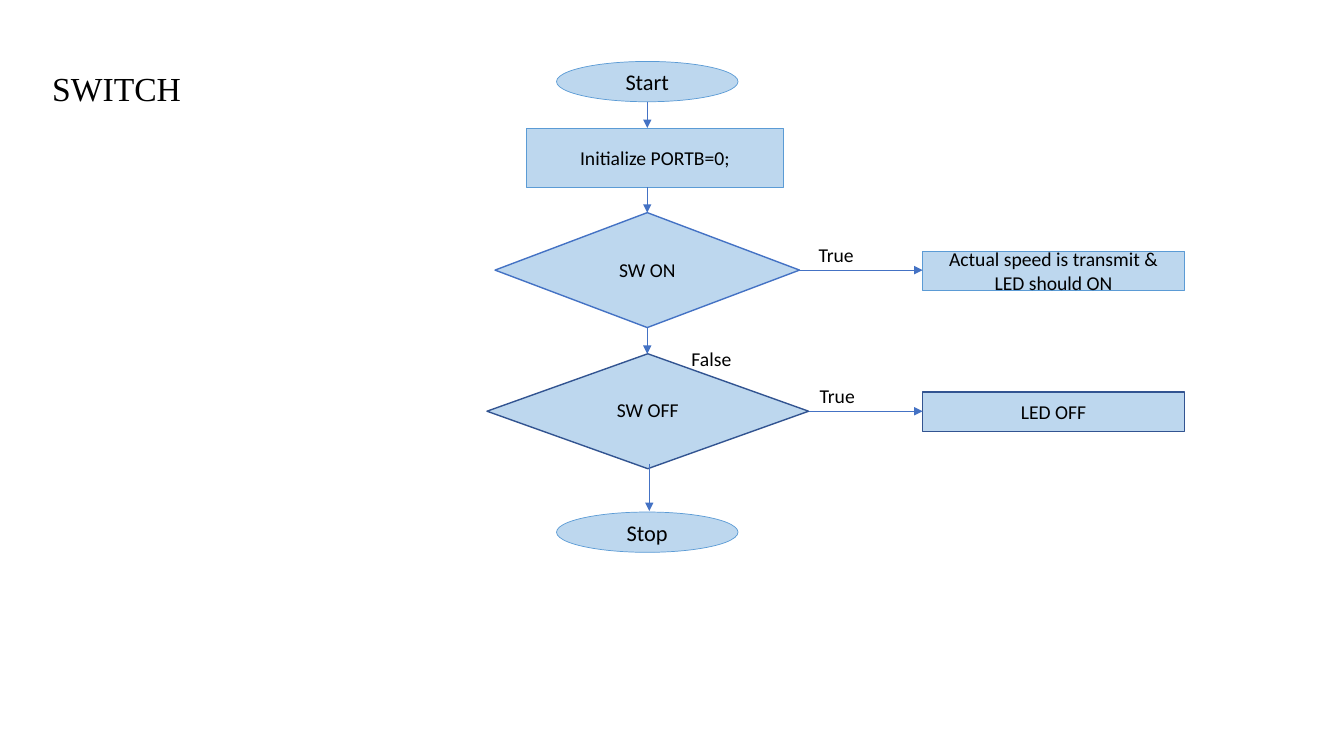
import pptx
import pptx.util
import pptx.dml.color
import pptx.enum.shapes
import pptx.enum.text
import lxml.etree

Inches, Pt = pptx.util.Inches, pptx.util.Pt
KIND = pptx.enum.shapes.MSO_SHAPE
ALIGN = pptx.enum.text.PP_ALIGN
ANCHOR = pptx.enum.text.MSO_ANCHOR

# Content: text, kind, left, top, width, height, format
PALE, SKY, BLUE, NAVY = "BDD7EE", "5B9BD5", "4472C4", "325491"
AXIS = 6.42
SIDE, WIDE, LOW = 9.15, 2.6, 0.39
steps = {
    "start": ("Start", KIND.OVAL, 5.52, 0.61, 1.8, 0.4, dict(size=16)),
    "init": ("Initialize PORTB=0;", KIND.RECTANGLE, 5.22, 1.27, 2.55, 0.59, {}),
    "on": ("SW ON", KIND.DIAMOND, 4.91, 2.11, 3.02, 1.14, dict(edge=BLUE, weight=1)),
    "send": ("Actual speed is transmit & LED should ON", KIND.RECTANGLE,
             SIDE, 2.49, WIDE, LOW, {}),
    "off": ("SW OFF", KIND.DIAMOND, 4.83, 3.51, 3.19, 1.14,
            dict(edge=NAVY, weight=1, foot=0.09)),
    "dark": ("LED OFF", KIND.RECTANGLE, SIDE, 3.89, WIDE, LOW,
             dict(edge=NAVY, weight=1)),
    "stop": ("Stop", KIND.OVAL, 5.52, 5.08, 1.8, 0.4, dict(size=16)),
}
falls = [("start", "init"), ("init", "on"), ("on", "off")]
exits = [("on", "send"), ("off", "dark")]
labels = [("True", 8.02, 2.36, 0.77), ("True", 8.03, 3.76, 1.12),
          ("False", 6.76, 3.39, 1.42)]

deck = pptx.Presentation()
deck.slide_width, deck.slide_height = Inches(13.33), Inches(7.5)
slide = deck.slides.add_slide(deck.slide_layouts[6])


def color(code):
    return pptx.dml.color.RGBColor.from_string(code)


def write(shape, text, size=14, font="Calibri", align=ALIGN.LEFT,
          anchor=ANCHOR.TOP, space=1, foot=0.05):
    frame = shape.text_frame
    frame.word_wrap = True
    frame.vertical_anchor = anchor
    frame.margin_bottom = Inches(foot)
    para = frame.paragraphs[0]
    para.alignment, para.line_spacing = align, space
    run = para.add_run()
    run.text = text
    run.font.size, run.font.name = Pt(size), font
    run.font.color.rgb = color("000000")


def label(text, x, y, w, h, **form):
    box = slide.shapes.add_textbox(Inches(x), Inches(y), Inches(w), Inches(h))
    write(box, text, **form)


def step(text, kind, x, y, w, h, edge=SKY, weight=0.5, **form):
    shape = slide.shapes.add_shape(kind, Inches(x), Inches(y), Inches(w), Inches(h))
    shape.shadow.inherit = False
    shape.fill.solid()
    shape.fill.fore_color.rgb = color(PALE)
    shape.line.color.rgb = color(edge)
    shape.line.width = Pt(weight)
    write(shape, text, align=ALIGN.CENTER, anchor=ANCHOR.MIDDLE, **form)


def arrow(x1, y1, x2, y2):
    link = slide.shapes.add_connector(
        pptx.enum.shapes.MSO_CONNECTOR.STRAIGHT,
        Inches(x1), Inches(y1), Inches(x2), Inches(y2))
    link.line.color.rgb = color(BLUE)
    link.line.width = Pt(0.5)
    space = "{http://schemas.openxmlformats.org/drawingml/2006/main}"
    lxml.etree.SubElement(link.line._get_or_add_ln(), space + "tailEnd", type="triangle")
    lxml.etree.SubElement(link._element.spPr, space + "effectLst")


# Title and steps
label("SWITCH", 0.42, 0.47, 10, 0.66, size=24, font="Times New Roman",
      anchor=ANCHOR.BOTTOM, space=0.9)
for text, kind, x, y, w, h, form in steps.values():
    step(text, kind, x, y, w, h, **form)

# Arrows down the axis
for above, below in falls:
    top, high = steps[above][3], steps[above][5]
    arrow(AXIS, top + high, AXIS, steps[below][3])
arrow(6.44, 4.6, 6.44, 5.07)

# Arrows out to the side boxes, at mid height of each decision
for test, act in exits:
    x, y, w, h = steps[test][2:6]
    arrow(x + w, y + h / 2, steps[act][2], y + h / 2)

# Branch labels
for text, x, y, w in labels:
    label(text, x, y, w, 0.34)

deck.save("out.pptx")
